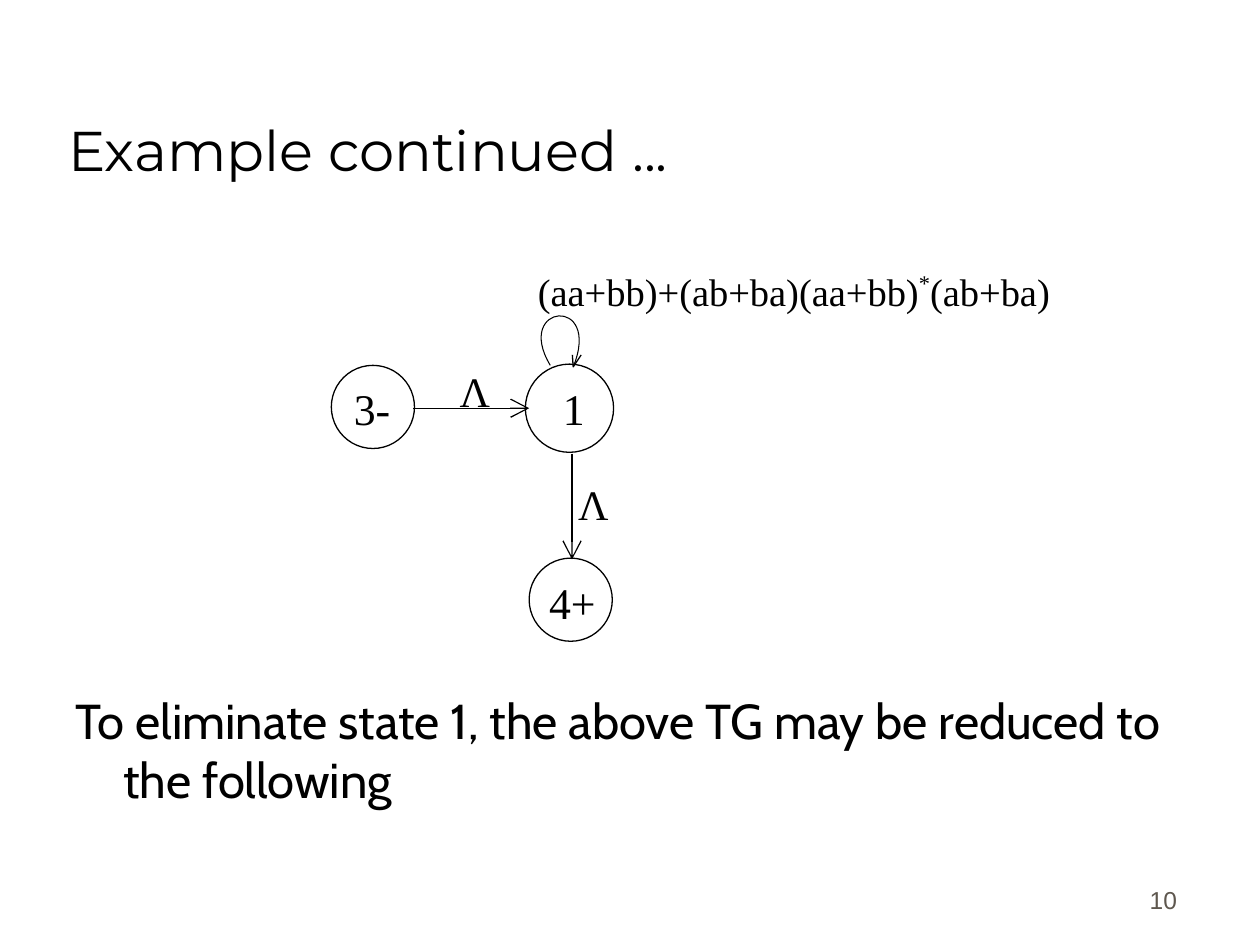
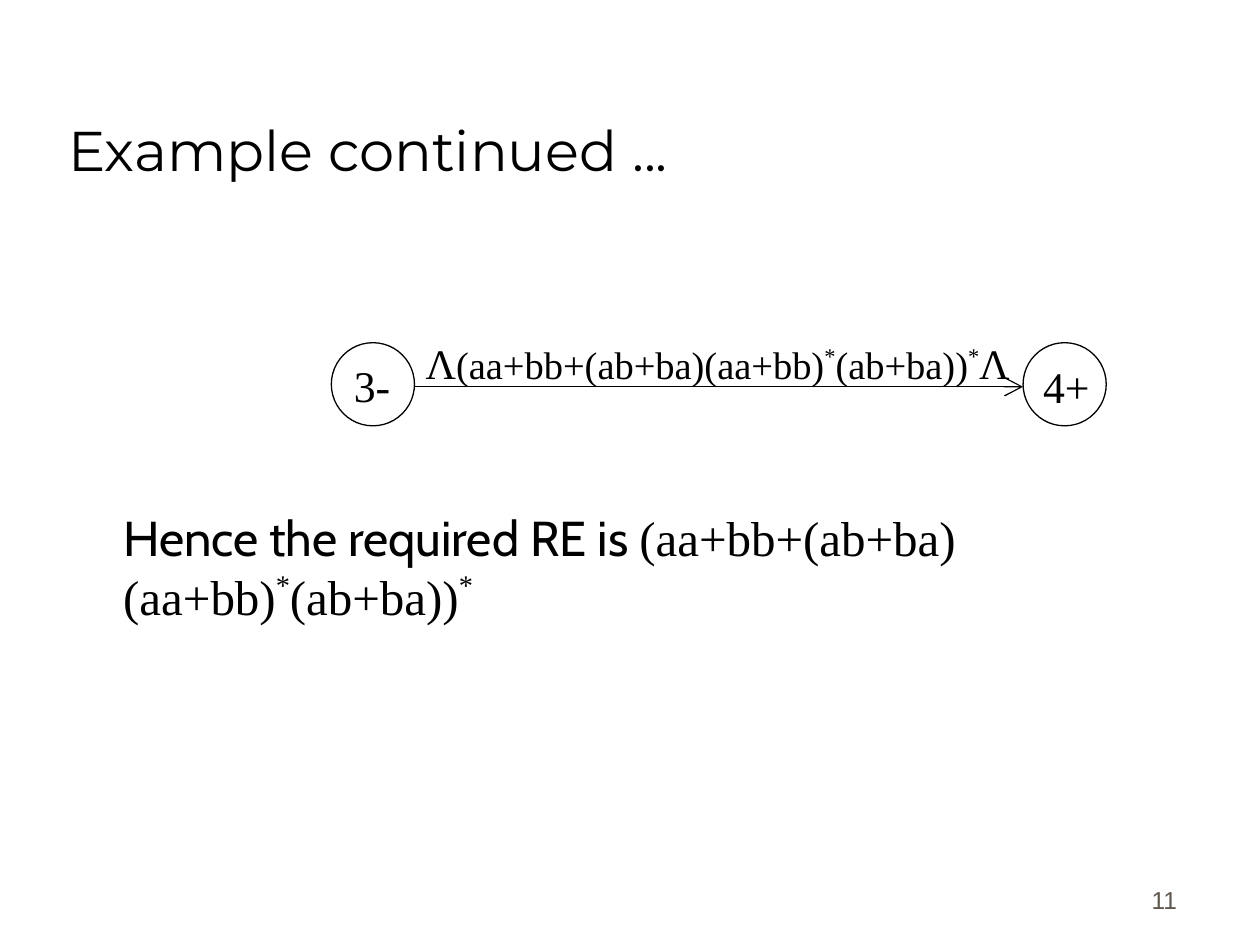
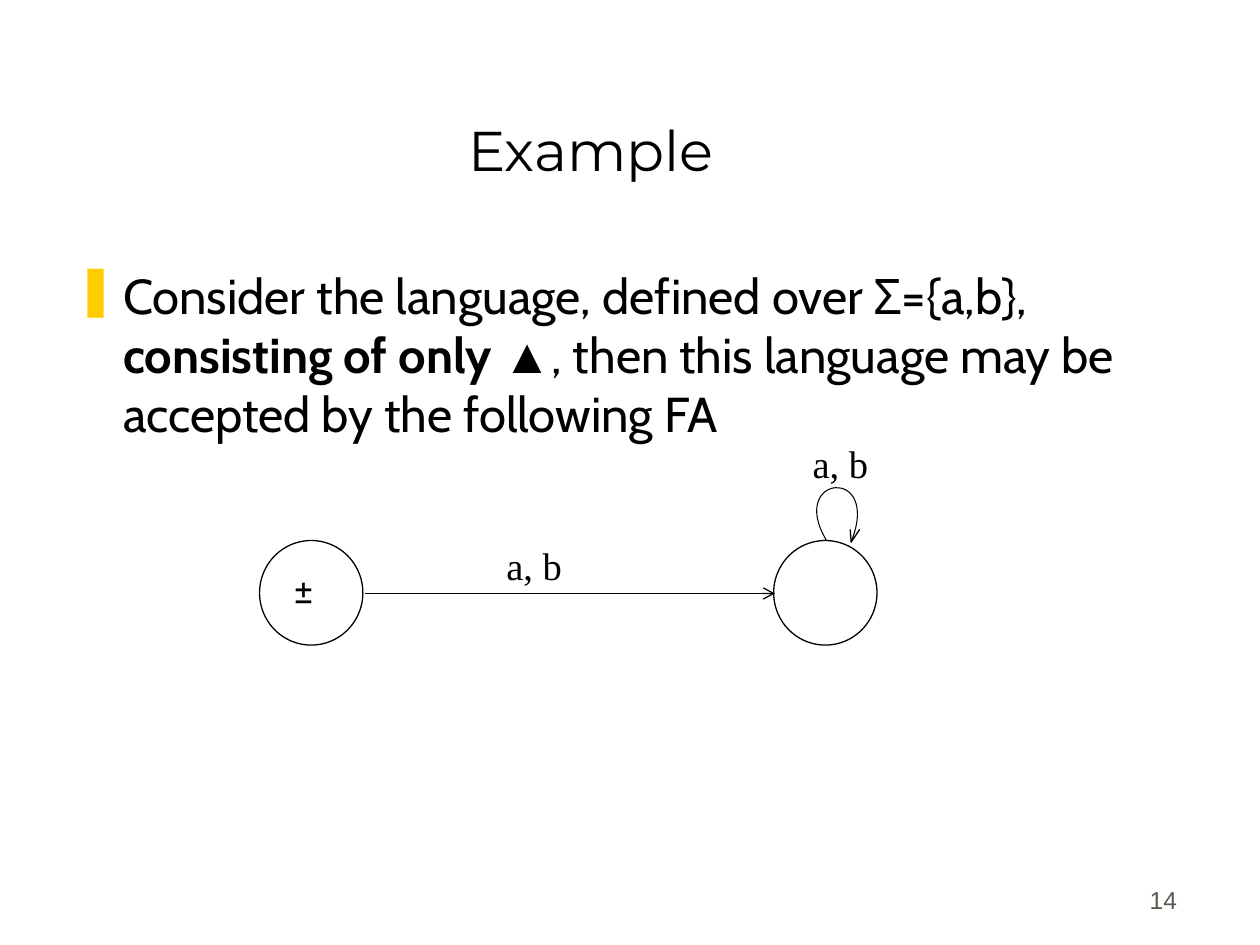
import dataclasses

import lxml.etree
import pptx
import pptx.dml.color
import pptx.enum.shapes
import pptx.enum.text
import pptx.oxml
import pptx.oxml.ns
import pptx.util

BLACK = pptx.dml.color.RGBColor(0x00, 0x00, 0x00)
WHITE = pptx.dml.color.RGBColor(0xFF, 0xFF, 0xFF)
GREY = pptx.dml.color.RGBColor(0x5E, 0x57, 0x4E)
YELLOW = pptx.dml.color.RGBColor(0xFF, 0xCC, 0x00)

TITLE_FONT = "Montserrat"
BODY_FONT = "Cabin"
MATH_FONT = "Times New Roman"
NUMBER_FONT = "Arial"

SLIDE_WIDTH = pptx.util.Inches(10)
SLIDE_HEIGHT = pptx.util.Inches(7.5)
COLUMN = SLIDE_WIDTH / 100
ROW = SLIDE_HEIGHT / 75
LINE_WIDTH = pptx.util.Pt(0.75)
LOOP_WIDTH = pptx.util.Pt(0.6)
HANGING = pptx.util.Inches(0.38)

Align = pptx.enum.text.PP_ALIGN
Anchor = pptx.enum.text.MSO_ANCHOR


@dataclasses.dataclass
class Box:
    """A region measured in columns and rows of the slide grid."""
    left: float
    top: float
    width: float
    height: float

    def inner(self, left, top, width, height):
        return Box(self.left + left, self.top + top, width, height)

    def point(self, column, row):
        return round((self.left + column) * COLUMN), round((self.top + row) * ROW)

    def share(self, across, down):
        return self.point(across * self.width, down * self.height)

    def emu(self):
        return (*self.point(0, 0), round(self.width * COLUMN), round(self.height * ROW))


@dataclasses.dataclass
class Run:
    text: str
    size: float = 22
    font: str = MATH_FONT
    color: pptx.dml.color.RGBColor = BLACK
    bold: bool = False
    raised: bool = False


TITLE = Box(4.4, 2.5, 85, 12.5)
NUMBER = Box(73.6, 68.1, 20.8, 5)
BODY_LEFT, BODY_WIDTH = 5, 89.4


def write_runs(paragraph, runs):
    for source in runs:
        run = paragraph.add_run()
        run.text = source.text
        run.font.name = source.font
        run.font.size = pptx.util.Pt(source.size)
        run.font.bold = source.bold
        run.font.color.rgb = source.color
        if source.raised:
            run.font._element.set("baseline", "40000")


def add_text(slide, box, runs, wrap=True):
    text_box = slide.shapes.add_textbox(*box.emu())
    text_box.text_frame.word_wrap = wrap
    write_runs(text_box.text_frame.paragraphs[0], runs)
    return text_box


def add_symbol(slide, box, text, size=25):
    """Writes a short label that must stay on one line."""
    add_text(slide, box, [Run(text, size)], wrap=False)


def starred(*pieces):
    """Returns runs with a raised star after every piece but the last."""
    runs = [Run(pieces[0])]
    for piece in pieces[1:]:
        runs += [Run("*", raised=True), Run(piece)]
    return runs


def add_state(slide, box):
    circle = slide.shapes.add_shape(pptx.enum.shapes.MSO_SHAPE.OVAL, *box.emu())
    circle.shadow.inherit = False
    circle.fill.solid()
    circle.fill.fore_color.rgb = WHITE
    circle.line.color.rgb = BLACK
    circle.line.width = LINE_WIDTH


def add_arrow(slide, start, end, head="lg"):
    arrow = slide.shapes.add_connector(
        pptx.enum.shapes.MSO_CONNECTOR.STRAIGHT, *start, *end)
    arrow.line.color.rgb = BLACK
    arrow.line.width = LINE_WIDTH
    lxml.etree.SubElement(arrow.line._get_or_add_ln(), pptx.oxml.ns.qn("a:tailEnd"),
                          type="arrow", w=head, len=head)
    lxml.etree.SubElement(arrow._element.spPr, pptx.oxml.ns.qn("a:effectLst"))


def add_outline(slide, points, width):
    builder = slide.shapes.build_freeform(*points[0])
    builder.add_line_segments(points[1:], close=False)
    outline = builder.convert_to_shape()
    outline.shadow.inherit = False
    outline.fill.background()
    outline.line.color.rgb = BLACK
    outline.line.width = width
    return outline


def add_loop(slide, box):
    """Draws a self-transition whose ends meet the state below the box."""
    corners = [(0.44, 1), (0.02, 0.17), (1.03, 0.05), (0.7, 1.02)]
    curve = add_outline(slide, [box.share(*corner) for corner in corners], LOOP_WIDTH)
    segments = list(curve._element.iter(pptx.oxml.ns.qn("a:lnTo")))
    outline = segments[0].getparent()
    bezier = lxml.etree.SubElement(outline, pptx.oxml.ns.qn("a:cubicBezTo"))
    for segment in segments:
        bezier.append(segment[0])
        outline.remove(segment)
    barbs = [(0.69, 0.86), (0.7, 1.02), (0.79, 0.86)]
    add_outline(slide, [box.share(*barb) for barb in barbs], LINE_WIDTH)


def add_body(slide, top, height, runs, first_indent=-HANGING, bullet=None):
    body = add_text(slide, Box(BODY_LEFT, top, BODY_WIDTH, height), runs)
    paragraph = body.text_frame.paragraphs[0]
    paragraph.space_before = pptx.util.Pt(7)
    properties = paragraph._p.get_or_add_pPr()
    properties.set("marL", str(HANGING))
    properties.set("indent", str(first_indent))
    if bullet:
        color = lxml.etree.SubElement(properties, pptx.oxml.ns.qn("a:buClr"))
        lxml.etree.SubElement(color, pptx.oxml.ns.qn("a:srgbClr"), val=str(YELLOW))
        lxml.etree.SubElement(properties, pptx.oxml.ns.qn("a:buChar"), char=bullet)


def add_titled_slide(presentation, title, number, alignment=Align.LEFT):
    slide = presentation.slides.add_slide(presentation.slide_layouts[5])
    placeholder = slide.shapes.title
    placeholder.left, placeholder.top, placeholder.width, placeholder.height = TITLE.emu()
    frame = placeholder.text_frame
    frame.auto_size = pptx.enum.text.MSO_AUTO_SIZE.NONE
    frame.vertical_anchor = Anchor.BOTTOM
    frame.paragraphs[0].alignment = alignment
    write_runs(frame.paragraphs[0], [Run(title, 32, TITLE_FONT)])

    footer = add_text(slide, NUMBER, [Run(number, 14, NUMBER_FONT, GREY)])
    footer.text_frame.vertical_anchor = Anchor.BOTTOM
    footer.text_frame.paragraphs[0].alignment = Align.RIGHT
    return slide


def draw_three_state_graph(slide, box):
    add_state(slide, box.inner(15.4, 8.1, 7, 7))
    add_loop(slide, box.inner(14.3, 2.3, 7, 5.9))
    add_state(slide, box.inner(15.7, 23.5, 6.6, 6.6))
    add_state(slide, box.inner(0, 8.2, 6.6, 6.6))
    add_arrow(slide, box.point(6.5, 11.6), box.point(15.7, 11.6))
    add_arrow(slide, box.point(19.1, 15.2), box.point(19.1, 23.6))
    add_symbol(slide, box.inner(9.2, 7.7, 4.4, 5), "Λ", 24)
    add_symbol(slide, box.inner(18.6, 16.7, 4.4, 5), "Λ", 24)
    add_symbol(slide, box.inner(16.3, 24.4, 5.7, 5.2), "4+")
    add_symbol(slide, box.inner(0.8, 9, 4.9, 5.2), "3-")
    add_symbol(slide, box.inner(17.4, 9, 3.7, 5.2), "1")
    add_text(slide, box.inner(15.4, 0, 47.9, 6.7),
             starred("(aa+bb)+(ab+ba)(aa+bb)", "(ab+ba)"))


def draw_reduced_graph(slide, box):
    for left in (0, 54.9):
        add_state(slide, box.inner(left, 0.9, 6.6, 6.6))
    add_symbol(slide, box.inner(55.5, 1.8, 5.7, 5.2), "4+")
    add_symbol(slide, box.inner(0.8, 1.7, 4.9, 5.2), "3-")
    expression = starred("(aa+bb+(ab+ba)(aa+bb)", "(ab+ba))", "Λ")
    expression[-1].size = 24
    add_text(slide, box.inner(6.5, 0, 53.7, 6.7), [Run("Λ", 24)] + expression)
    add_arrow(slide, box.point(6.6, 4.4), box.point(54.9, 4.4))


def draw_two_state_automaton(slide, box):
    for left in (0, 40.8):
        add_state(slide, box.inner(left, 8.5, 8.2, 8.3))
    add_arrow(slide, box.point(8.4, 12.7), box.point(40.9, 12.7), head="med")
    add_loop(slide, box.inner(41.7, 2.2, 7.5, 6.3))
    for left, top in ((42.9, 0), (18.6, 8.1)):
        add_text(slide, box.inner(left, top, 9.8, 6.7), [Run("a, b")])
    add_text(slide, box.inner(1.7, 9.8, 9.8, 6.7), [Run("±", 24, BODY_FONT)])


def build_elimination_slide(presentation):
    slide = add_titled_slide(presentation, "Example continued ...", "10")
    add_body(slide, 54.3, 11.9, [Run(
        "To eliminate state 1, the above TG may be reduced to the following",
        28, BODY_FONT)])
    draw_three_state_graph(slide, Box(26.3, 20.8, 63.3, 30.1))


def build_result_slide(presentation):
    slide = add_titled_slide(presentation, "Example continued ...", "11")
    draw_reduced_graph(slide, Box(26.3, 26.3, 61.5, 7.5))
    expression = starred("(aa+bb+(ab+ba)(aa+bb)", "(ab+ba))")
    expression.append(Run("*", raised=True))
    for run in expression:
        run.size = 28
    add_body(slide, 39.8, 26.4,
             [Run("Hence the required RE is ", 28, BODY_FONT)] + expression,
             first_indent=0)


def build_language_slide(presentation):
    slide = add_titled_slide(presentation, "Example", "14", Align.CENTER)
    add_body(slide, 20.6, 45.6, [
        Run("Consider the language, defined over Σ={a,b}, ", 28, BODY_FONT),
        Run("consisting of only ", 28, BODY_FONT, bold=True),
        Run("▲", 28, bold=True),
        Run(", then this language may be accepted by the following FA", 28, BODY_FONT),
    ], bullet="❚")
    draw_two_state_automaton(slide, Box(20.6, 34.4, 52.7, 16.8))


def main():
    presentation = pptx.Presentation()
    presentation.slide_width = SLIDE_WIDTH
    presentation.slide_height = SLIDE_HEIGHT
    build_elimination_slide(presentation)
    build_result_slide(presentation)
    build_language_slide(presentation)
    presentation.save("out.pptx")


if __name__ == "__main__":
    main()
